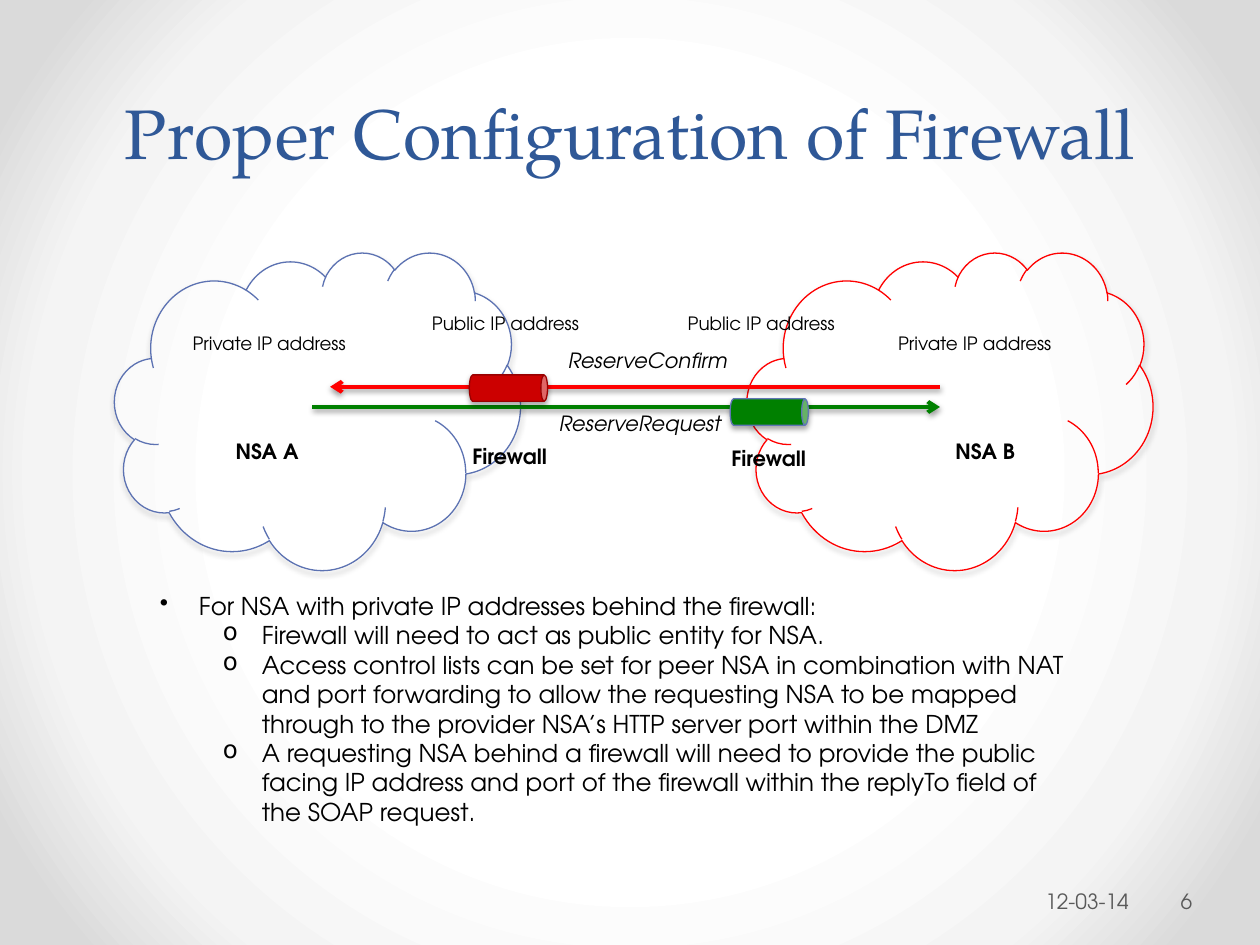
from lxml import etree
from pptx import Presentation
from pptx.dml.color import RGBColor
from pptx.enum.shapes import MSO_CONNECTOR, MSO_SHAPE
from pptx.enum.text import MSO_ANCHOR, PP_ALIGN
from pptx.oxml.ns import qn
from pptx.util import Inches, Pt

CLOUD, CAN = MSO_SHAPE.CLOUD, MSO_SHAPE.CAN
STRAIGHT = MSO_CONNECTOR.STRAIGHT
LEFT, CENTER, RIGHT = PP_ALIGN.LEFT, PP_ALIGN.CENTER, PP_ALIGN.RIGHT
TOP, MIDDLE, BOTTOM = MSO_ANCHOR.TOP, MSO_ANCHOR.MIDDLE, MSO_ANCHOR.BOTTOM

NAVY = RGBColor(0x2F, 0x58, 0x97)
BLUE = RGBColor(0x5C, 0x72, 0xB2)
STEEL = RGBColor(0x60, 0x76, 0xB4)
RED = RGBColor(0xFF, 0x00, 0x00)
BRICK = RGBColor(0xCC, 0x00, 0x00)
MAROON = RGBColor(0x99, 0x00, 0x00)
GREEN = RGBColor(0x00, 0x80, 0x00)
BLACK = RGBColor(0x00, 0x00, 0x00)
GRAY = RGBColor(0x59, 0x59, 0x59)
GLOW = [(50, "FFFFFF"), (76, "F4F4F4"), (92, "DADADA")]

POINTS = [
    (0, "For NSA with private IP addresses behind the firewall:"),
    (1, "Firewall will need to act as public entity for NSA."),
    (1, "Access control lists can be set for peer NSA in combination with NAT "
        "and port forwarding to allow the requesting NSA to be mapped through "
        "to the provider NSA’s HTTP server port within the DMZ"),
    (1, "A requesting NSA behind a firewall will need to provide the public "
        "facing IP address and port of the firewall within the replyTo field "
        "of the SOAP request."),
]


def add(parent, tag, **attrs):
    return etree.SubElement(parent, qn(tag), {k: str(v) for k, v in attrs.items()})


class Deck:
    body = "TeX Gyre Adventor"
    head = "TeX Gyre Pagella"

    def __init__(self):
        self.prs = Presentation()
        self.prs.slide_width, self.prs.slide_height = Inches(10), Inches(7.5)
        self.slide = self.prs.slides.add_slide(self.prs.slide_layouts[5])
        self.shapes = self.slide.shapes

    def format(self, target, values):
        for name, value in values.items():
            setattr(target, name, value)

    def font(self, para, size, color, **extra):
        self.format(para.font, {"name": self.body, "size": Pt(size), **extra})
        para.font.color.rgb = color

    def back(self, stops):
        self.slide.background.fill.gradient()
        grad = self.slide.element.find(".//" + qn("a:gradFill"))
        for child in list(grad):
            grad.remove(child)
        row = add(grad, "a:gsLst")
        for pos, color in stops:
            add(add(row, "a:gs", pos=pos * 1000), "a:srgbClr", val=color)
        way = add(grad, "a:path", path="circle")
        add(way, "a:fillToRect", l=50000, t=50000, r=50000, b=50000)

    def title(self, text, box):
        shape = self.shapes.title
        self.format(shape, dict(zip(("left", "top", "width", "height"), map(Inches, box))))
        frame = shape.text_frame
        frame.text = text
        frame.vertical_anchor = BOTTOM
        para = frame.paragraphs[0]
        self.format(para, {"alignment": CENTER, "line_spacing": Pt(58)})
        self.font(para, 40, NAVY, name=self.head)

    def frame(self, box, wrap=True, anchor=TOP, sides=(0.1, 0.1)):
        frame = self.shapes.add_textbox(*map(Inches, box)).text_frame
        self.format(frame, {
            "word_wrap": wrap, "vertical_anchor": anchor,
            "margin_left": Inches(sides[0]), "margin_right": Inches(sides[1]),
        })
        return frame

    def text(self, text, box, size=12, color=BLACK, align=LEFT, font=None, **layout):
        para = self.frame(box, **layout).paragraphs[0]
        para.text = text
        para.alignment = align
        self.font(para, size, color, **(font or {}))

    def name(self, text, box):
        self.text(text, box, align=CENTER, font={"bold": True}, sides=(0, 0))

    def list(self, items, box):
        frame = self.frame(box)
        for i, (level, text) in enumerate(items):
            para = frame.add_paragraph() if i else frame.paragraphs[0]
            para.text = text
            para.level = level
            props = para._p.get_or_add_pPr()
            props.set("marL", str(Inches(0.31 + 0.5 * level)))
            props.set("indent", str(Inches(-0.31)))
            add(props, "a:buChar", char="•o"[level])
            self.font(para, 14, BLACK)

    def shade(self, props, alpha, dist):
        effect = props.find(qn("a:effectLst"))
        if effect is None:
            effect = add(props, "a:effectLst")
        cast = add(effect, "a:outerShdw", blurRad=Pt(3.1), dist=Pt(dist),
                   dir=5400000, rotWithShape=0)
        add(add(cast, "a:srgbClr", val="000000"), "a:alpha", val=alpha * 1000)

    def shape(self, kind, box, edge, fill=None, turn=0):
        shape = self.shapes.add_shape(kind, *map(Inches, box))
        shape.rotation = turn
        if fill is None:
            shape.element.set("useBgFill", "1")
        else:
            shape.fill.solid()
            shape.fill.fore_color.rgb = fill
        shape.line.color.rgb = edge
        shape.line.width = Pt(0.75)
        shape.shadow.inherit = False
        self.shade(shape.element.spPr, 35, 1.8)

    def arrow(self, start, end, y, color):
        line = self.shapes.add_connector(STRAIGHT, *map(Inches, (start, y, end, y)))
        line.line.color.rgb = color
        line.line.width = Pt(2.25)
        props = line.element.spPr
        add(props.find(qn("a:ln")), "a:tailEnd", type="arrow")
        self.shade(props, 38, 1.6)


def main():
    deck = Deck()
    deck.back(GLOW)
    deck.title("Proper Configuration of Firewall", (0.5, 0, 9, 1.43))
    deck.text("12-03-14", (6.73, 6.95, 2.28, 0.4), color=GRAY, align=RIGHT,
              anchor=MIDDLE, sides=(0.1, 0.05))
    deck.text("6", (9.34, 6.95, 0.61, 0.4), color=GRAY, anchor=MIDDLE, sides=(0.03, 0.05))

    for x, edge in ((0.91, BLUE), (5.93, RED)):
        deck.shape(CLOUD, (x, 2, 3.22, 2.52), edge)

    deck.name("Firewall", (3.48, 3.47, 1.13, 0.37))
    deck.name("NSA A", (1.62, 3.43, 1, 0.3))
    deck.name("NSA B", (7.32, 3.43, 1, 0.3))
    deck.name("Firewall", (5.49, 3.49, 1.22, 0.34))
    deck.list(POINTS, (1.17, 4.64, 7.51, 2.22))

    deck.arrow(7.46, 2.62, 3.07, RED)
    deck.arrow(2.48, 7.46, 3.23, GREEN)
    for text, box in (("ReserveConfirm", (4.41, 2.71, 1.51, 0.3)),
                      ("ReserveRequest", (4.34, 3.21, 1.53, 0.3))):
        deck.text(text, box, font={"italic": True}, wrap=False)

    deck.shape(CAN, (3.93, 2.77, 0.21, 0.62), MAROON, BRICK, 90)
    deck.shape(CAN, (6, 2.96, 0.21, 0.62), STEEL, GREEN, 90)

    for text, y, width, lefts in (("Private IP address", 2.59, 1.45, (1.43, 7.03)),
                                  ("Public IP address", 2.43, 1.39, (5.36, 3.33))):
        for x in lefts:
            deck.text(text, (x, y, width, 0.28), 10.5, wrap=False)

    deck.prs.save("out.pptx")


if __name__ == "__main__":
    main()
